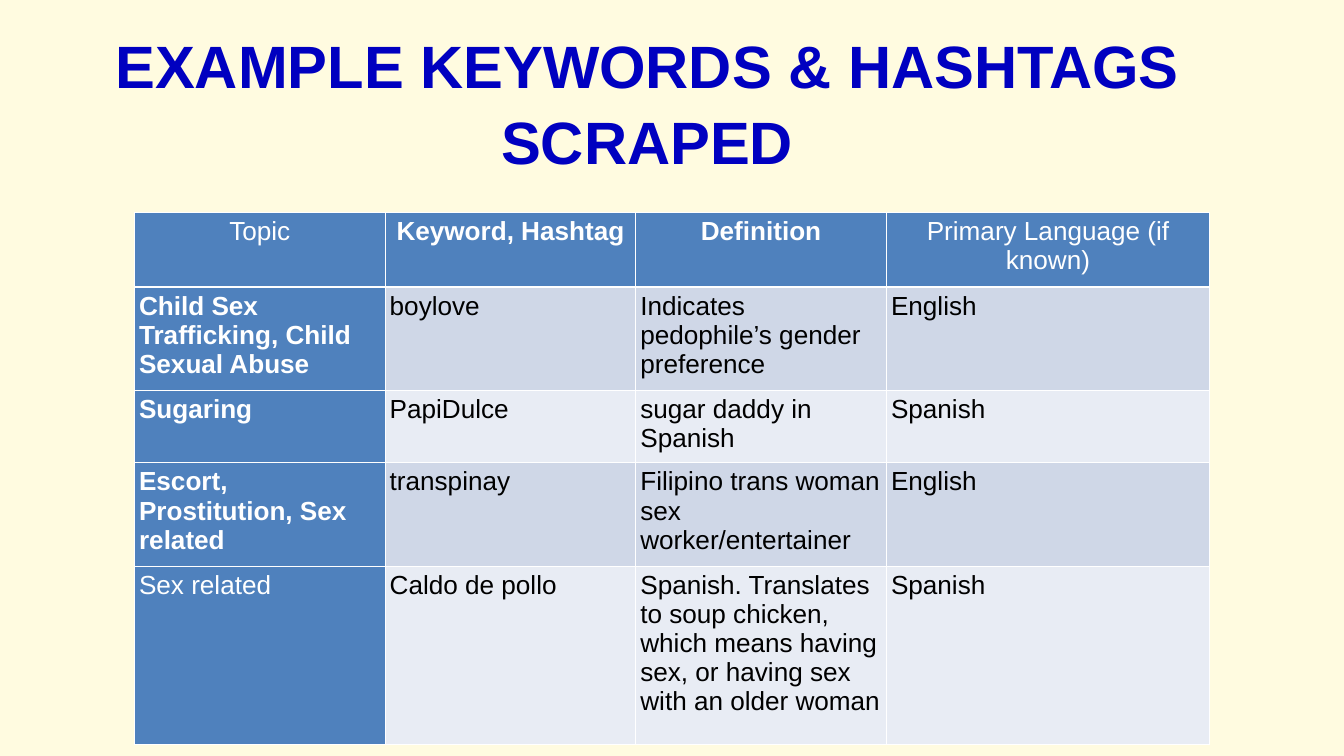
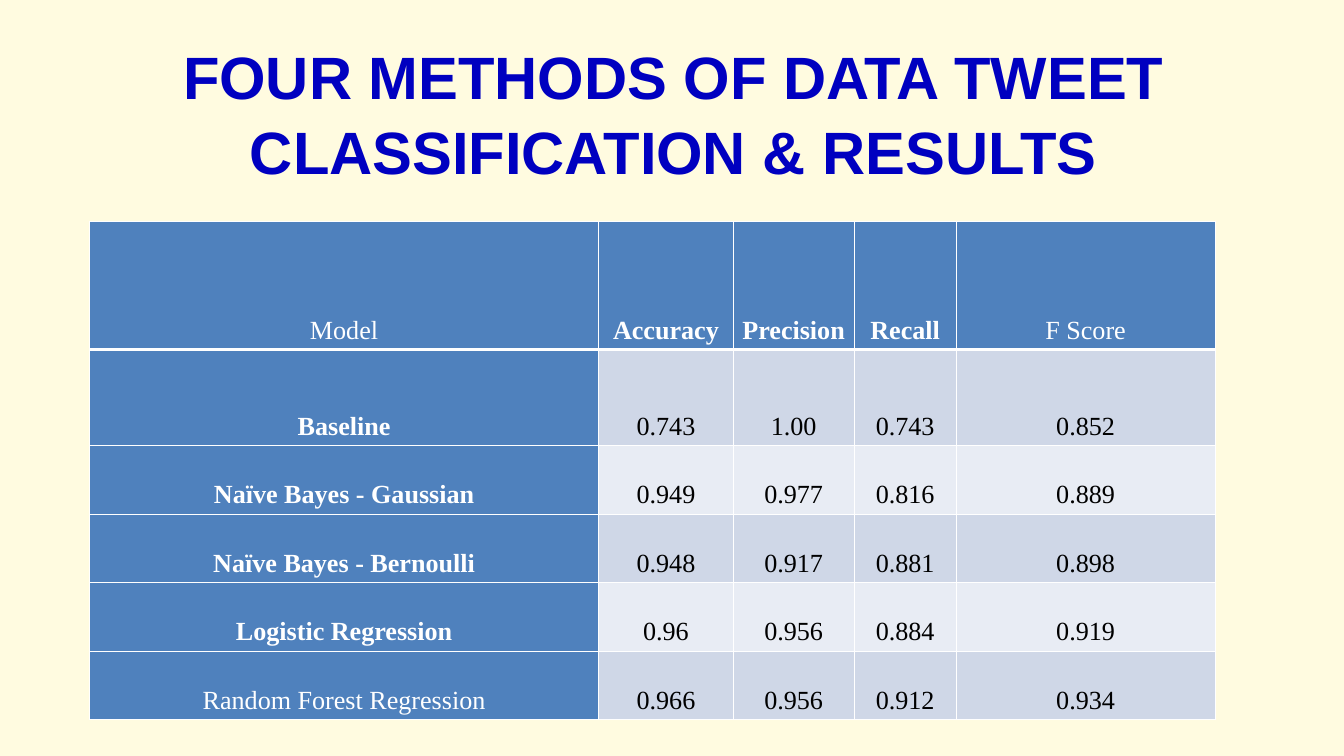
import dataclasses

import pptx
import pptx.dml.color
import pptx.enum.text
import pptx.oxml.ns
import pptx.util
from lxml import etree

Inches = pptx.util.Inches
Align = pptx.enum.text.PP_ALIGN
Anchor = pptx.enum.text.MSO_ANCHOR


@dataclasses.dataclass(frozen=True)
class Theme:
    page: str = "FFFBE0"
    title: str = "0000C0"
    head: str = "4F81BD"
    odd: str = "CFD7E7"
    even: str = "E8ECF4"
    light: str = "FFFFFF"
    dark: str = "000000"
    sans: str = "Arial"
    serif: str = "Times New Roman"
    big: int = 64
    body: int = 28
    thin: int = 1
    thick: int = 3


THEME = Theme()


@dataclasses.dataclass(frozen=True)
class Title:
    text: str
    left: float
    top: float
    width: float
    height: float = 2.15


@dataclasses.dataclass(frozen=True)
class Grid:
    left: float
    top: float
    cols: list[float]
    rows: list[float]
    cells: list[list[str]]
    font: str
    align: Align
    anchor: Anchor
    pad: float


WORDS = Grid(
    2, 3.16, [3.73, 3.73, 3.73, 4.81], [1.11, 1.53, 1.07, 1.53, 2.65],
    [
        ["Topic", "Keyword, Hashtag", "Definition", "Primary Language (if known)"],
        ["Child Sex Trafficking, Child Sexual Abuse", "boylove",
         "Indicates pedophile’s gender preference", "English"],
        ["Sugaring", "PapiDulce", "sugar daddy in Spanish", "Spanish"],
        ["Escort, Prostitution, Sex related", "transpinay",
         "Filipino trans woman sex worker/entertainer", "English"],
        ["Sex related", "Caldo de pollo",
         "Spanish. Translates to soup chicken, which means having sex, "
         "or having sex with an older woman", "Spanish"],
    ],
    THEME.sans, Align.LEFT, Anchor.TOP, 0.07)

SCORES = Grid(
    1.33, 3.29, [7.58, 2, 1.8, 1.52, 3.85], [1.91, 1.43] + [1.02] * 4,
    [
        ["Model", "Accuracy", "Precision", "Recall", "F Score"],
        ["Baseline", "0.743", "1.00", "0.743", "0.852"],
        ["Naïve Bayes - Gaussian", "0.949", "0.977", "0.816", "0.889"],
        ["Naïve Bayes - Bernoulli", "0.948", "0.917", "0.881", "0.898"],
        ["Logistic Regression", "0.96", "0.956", "0.884", "0.919"],
        ["Random Forest Regression", "0.966", "0.956", "0.912", "0.934"],
    ],
    THEME.serif, Align.CENTER, Anchor.BOTTOM, 0.01)

PAGES = [
    (Title("EXAMPLE KEYWORDS & HASHTAGS SCRAPED", 0.39, 0.38, 18.48), WORDS),
    (Title("FOUR METHODS OF DATA TWEET CLASSIFICATION & RESULTS",
           1.51, 0.54, 17.02), SCORES),
]


def rgb(code: str) -> pptx.dml.color.RGBColor:
    return pptx.dml.color.RGBColor.from_string(code)


def write(frame, text: str, *, font: str, size: int, color: str, bold: bool,
          align: Align, space: float = 1.0) -> None:
    frame.word_wrap = True
    para = frame.paragraphs[0]
    para.alignment = align
    para.line_spacing = space
    run = para.add_run()
    run.text = text
    run.font.name = font
    run.font.size = pptx.util.Pt(size)
    run.font.bold = bold
    run.font.color.rgb = rgb(color)


def edge(cell, side: str, width: int) -> None:
    qn = pptx.oxml.ns.qn
    line = etree.SubElement(cell._tc.get_or_add_tcPr(), qn(f"a:ln{side}"),
                            w=str(pptx.util.Pt(width)))
    fill = etree.SubElement(line, qn("a:solidFill"))
    etree.SubElement(fill, qn("a:srgbClr"), val=THEME.light)


def add_title(slide, title: Title) -> None:
    box = slide.shapes.add_textbox(Inches(title.left), Inches(title.top),
                                   Inches(title.width), Inches(title.height))
    frame = box.text_frame
    frame.margin_left = frame.margin_right = 0
    frame.margin_top = frame.margin_bottom = 0
    write(frame, title.text, font=THEME.sans, size=THEME.big, color=THEME.title,
          bold=True, align=Align.CENTER, space=1.05)


def add_cell(cell, grid: Grid, row: int, col: int) -> None:
    head, side = row == 0, col == 0
    label = head or side
    # Three corners of the label band are set in regular weight
    last_row, last_col = len(grid.rows) - 1, len(grid.cols) - 1
    corner = (row, col) in {(0, 0), (0, last_col), (last_row, 0)}

    cell.margin_left = cell.margin_right = cell.margin_top = Inches(grid.pad)
    cell.margin_bottom = Inches(0.07)
    cell.vertical_anchor = grid.anchor
    for name in "LRTB":
        heavy = (head and name == "B") or (row == 1 and name == "T")
        edge(cell, name, THEME.thick if heavy else THEME.thin)
    band = THEME.odd if row % 2 else THEME.even
    cell.fill.solid()
    cell.fill.fore_color.rgb = rgb(THEME.head if label else band)
    write(cell.text_frame, grid.cells[row][col], font=grid.font, size=THEME.body,
          color=THEME.light if label else THEME.dark,
          bold=label and not corner, align=Align.CENTER if head else grid.align)


def add_grid(slide, grid: Grid) -> None:
    table = slide.shapes.add_table(
        len(grid.rows), len(grid.cols), Inches(grid.left), Inches(grid.top),
        Inches(sum(grid.cols)), Inches(sum(grid.rows))).table
    for col, width in enumerate(grid.cols):
        table.columns[col].width = Inches(width)
    for row, height in enumerate(grid.rows):
        table.rows[row].height = Inches(height)
        for col in range(len(grid.cols)):
            add_cell(table.cell(row, col), grid, row, col)


def main() -> None:
    deck = pptx.Presentation()
    deck.slide_width, deck.slide_height = Inches(20), Inches(11.25)
    # Shared page colour
    page = deck.slide_master.background.fill
    page.solid()
    page.fore_color.rgb = rgb(THEME.page)
    # One title and one table per slide
    for title, grid in PAGES:
        slide = deck.slides.add_slide(deck.slide_layouts[6])
        add_title(slide, title)
        add_grid(slide, grid)
    deck.save("out.pptx")


if __name__ == "__main__":
    main()
